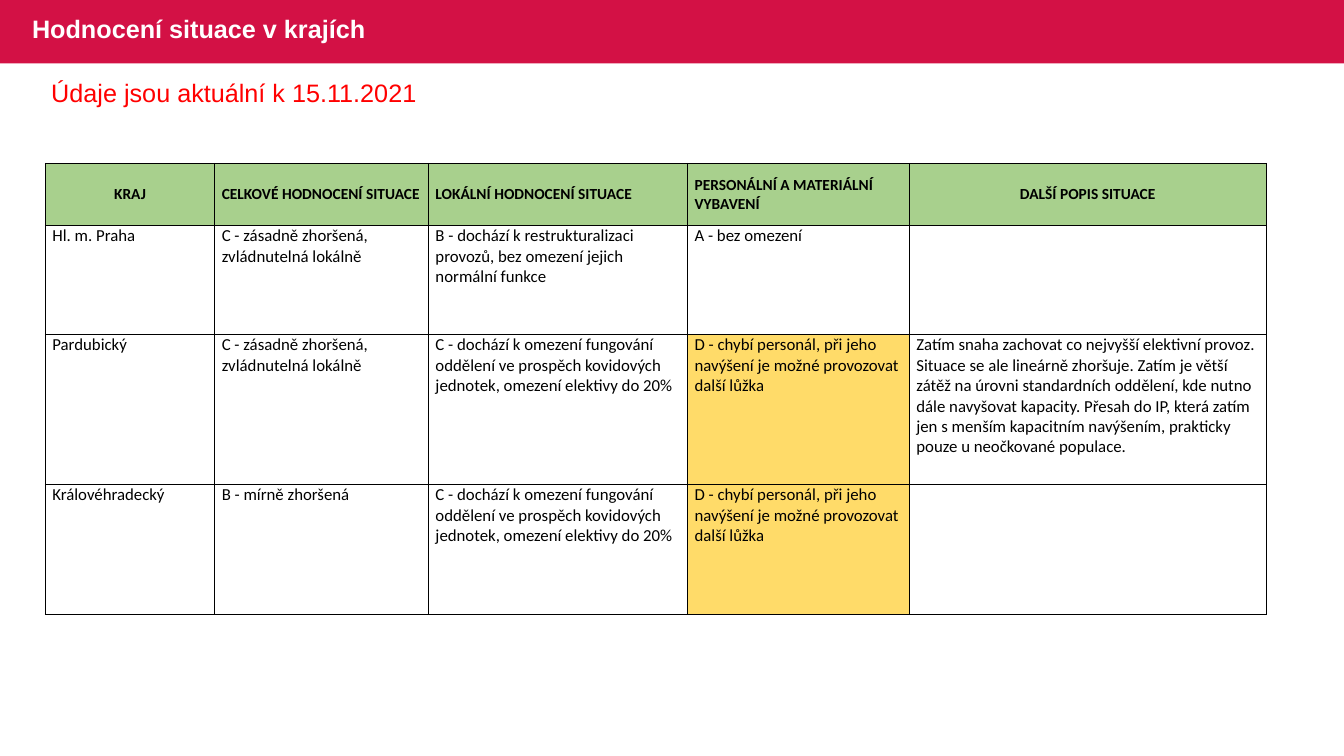
from lxml import etree
from pptx import Presentation
from pptx.dml.color import RGBColor
from pptx.enum.shapes import MSO_SHAPE
from pptx.enum.text import MSO_ANCHOR, PP_ALIGN
from pptx.oxml.ns import qn
from pptx.util import Emu, Pt

PX = 9144
COLORS = {
    "banner": "D31145",
    "white": "FFFFFF",
    "date": "FF0000",
    "black": "000000",
    "header": "A8D08D",
    "warning": "FFDB69",
}


def add_text(frame, text, size, color, font, bold=False, align=PP_ALIGN.LEFT):
    paragraph = frame.paragraphs[0]
    paragraph.alignment = align
    run = paragraph.add_run()
    run.text = text
    run.font.size = Pt(size)
    run.font.name = font
    run.font.bold = bold
    run.font.color.rgb = RGBColor.from_string(COLORS[color])
    return paragraph


def add_borders(cell):
    properties = cell._tc.get_or_add_tcPr()
    for position, side in enumerate(("lnL", "lnR", "lnT", "lnB")):
        line = etree.Element(qn(f"a:{side}"), w=str(Pt(0.75)))
        fill = etree.SubElement(line, qn("a:solidFill"))
        etree.SubElement(fill, qn("a:srgbClr"), val=COLORS["black"])
        properties.insert(position, line)


prs = Presentation()
prs.slide_width = Emu(1333 * PX)
prs.slide_height = Emu(750 * PX)
slide = prs.slides.add_slide(prs.slide_layouts[6])

banner = slide.shapes.add_shape(MSO_SHAPE.RECTANGLE, 0, 0, 1333 * PX, 63 * PX)
banner.shadow.inherit = False
banner.fill.solid()
banner.fill.fore_color.rgb = RGBColor.from_string(COLORS["banner"])
banner.line.fill.background()

heading = slide.shapes.add_textbox(22 * PX, -1 * PX, 814 * PX, 63 * PX).text_frame
heading.word_wrap = True
heading.vertical_anchor = MSO_ANCHOR.MIDDLE
add_text(heading, "Hodnocení situace v krajích", 18, "white", "Arial", True).line_spacing = 0.9

update_date = slide.shapes.add_textbox(-28 * PX, 72 * PX, 520 * PX, 40 * PX).text_frame
update_date.word_wrap = True
add_text(update_date, "Údaje jsou aktuální k 15.11.2021", 18, "date", "Arial", align=PP_ALIGN.CENTER)

WORSENED = "C - zásadně zhoršená, zvládnutelná lokálně"
RESTRICTED = (
    "C - dochází k omezení fungování oddělení ve prospěch kovidových jednotek, "
    "omezení elektivy do 20%"
)
UNDERSTAFFED = "D - chybí personál, při jeho navýšení je možné provozovat další lůžka"
regions = [
    ["KRAJ", "CELKOVÉ HODNOCENÍ SITUACE", "LOKÁLNÍ HODNOCENÍ SITUACE",
     "PERSONÁLNÍ A MATERIÁLNÍ VYBAVENÍ", "DALŠÍ POPIS SITUACE"],
    ["Hl. m. Praha", WORSENED,
     "B - dochází k restrukturalizaci provozů, bez omezení jejich normální funkce",
     "A - bez omezení", ""],
    ["Pardubický", WORSENED, RESTRICTED, UNDERSTAFFED,
     "Zatím snaha zachovat co nejvyšší elektivní provoz. Situace se ale lineárně "
     "zhoršuje. Zatím je větší zátěž na úrovni standardních oddělení, kde nutno "
     "dále navyšovat kapacity. Přesah do IP, která zatím jen s menším kapacitním "
     "navýšením, prakticky pouze u neočkované populace."],
    ["Královéhradecký", "B - mírně zhoršená", RESTRICTED, UNDERSTAFFED, ""],
]
column_widths = [168, 212, 257, 220, 354]
row_heights = [62, 108, 149, 129]

assessment = slide.shapes.add_table(
    len(row_heights), len(column_widths), 45 * PX, 162 * PX,
    sum(column_widths) * PX, sum(row_heights) * PX,
).table
assessment.first_row = False
assessment.horz_banding = False
for column, width in zip(assessment.columns, column_widths):
    column.width = Emu(width * PX)
for row, height in zip(assessment.rows, row_heights):
    row.height = Emu(height * PX)

for r, region in enumerate(regions):
    is_header = r == 0
    for c, text in enumerate(region):
        cell = assessment.cell(r, c)
        cell.margin_left = cell.margin_right = Emu(7 * PX)
        cell.margin_top = cell.margin_bottom = 0
        cell.vertical_anchor = MSO_ANCHOR.MIDDLE if is_header else MSO_ANCHOR.TOP
        if is_header or text == UNDERSTAFFED:
            cell.fill.solid()
            shade = COLORS["header" if is_header else "warning"]
            cell.fill.fore_color.rgb = RGBColor.from_string(shade)
        else:
            cell.fill.background()
        add_borders(cell)
        if text:
            centred = is_header and c in (0, len(region) - 1)
            add_text(cell.text_frame, text, 11 if is_header else 12, "black", "Calibri",
                     is_header, PP_ALIGN.CENTER if centred else PP_ALIGN.LEFT)

prs.save("out.pptx")
